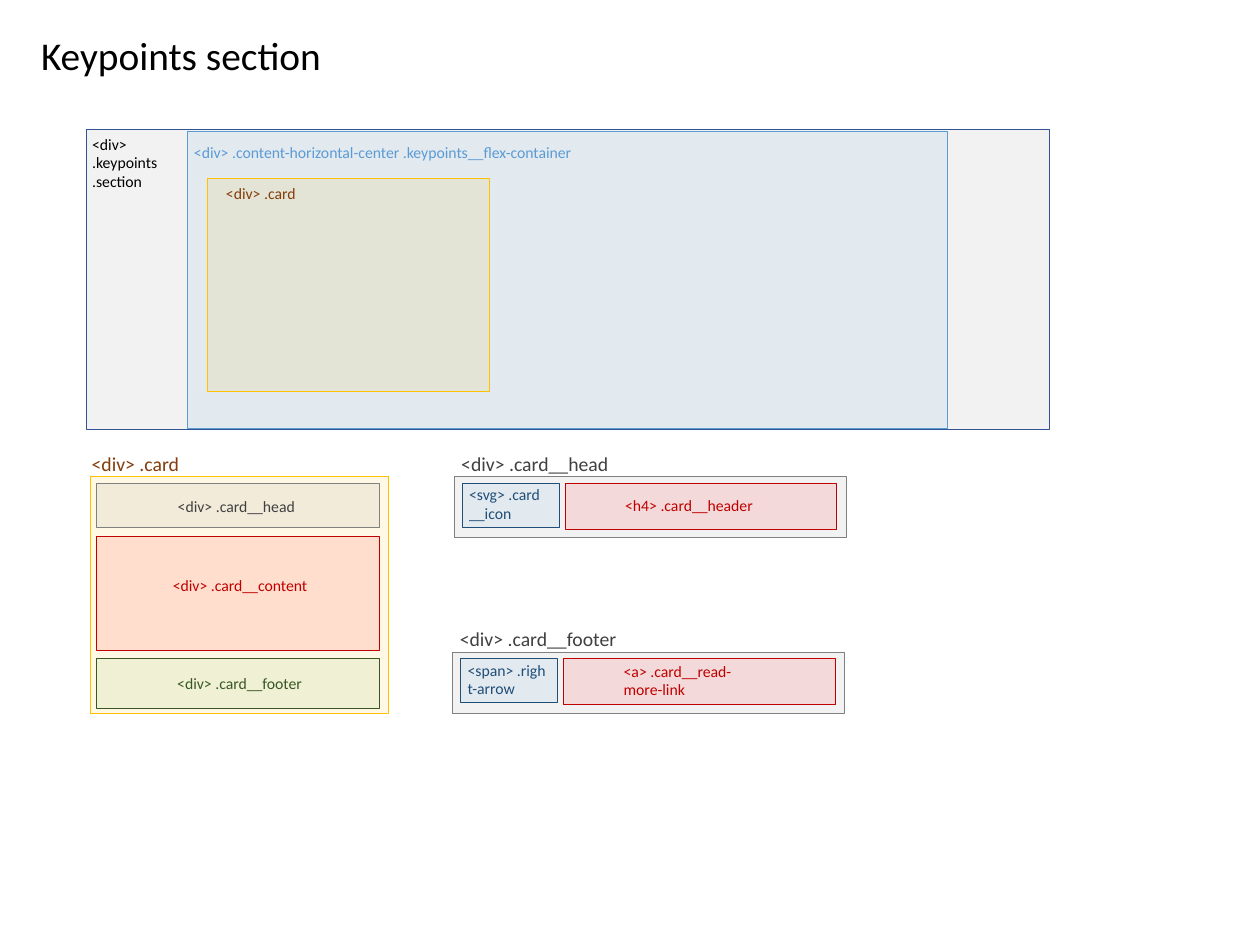
import lxml.etree
import pptx
import pptx.util
import pptx.dml.color
import pptx.enum.shapes
import pptx.enum.text
import pptx.oxml.ns

Pt = pptx.util.Pt
COLORS = {
    "black": "000000", "light gray": "F2F2F2", "gray": "808080", "dark gray": "404040",
    "navy": "325491", "blue": "5B9BD5", "dark blue": "1F4E79", "gold": "FFC000",
    "brown": "843C0B", "red": "FF0000", "dark red": "C00000", "green": "70AD47",
    "dark green": "385723",
}
FONT = "Calibri"
LABEL_WIDTH, LABEL_HEIGHT = 191, 17


def rgb(name):
    return pptx.dml.color.RGBColor.from_string(COLORS[name])


def add_box(slide, left, top, width, height, fill, line, opacity=10):
    shape = slide.shapes.add_shape(pptx.enum.shapes.MSO_SHAPE.RECTANGLE,
                                   Pt(left), Pt(top), Pt(width), Pt(height))
    shape.shadow.inherit = False
    shape.fill.solid()
    shape.fill.fore_color.rgb = rgb(fill)
    shape.line.color.rgb = rgb(line)
    shape.line.width = Pt(1)
    if opacity < 100:
        qn = pptx.oxml.ns.qn
        color = shape.element.spPr.find(f"{qn('a:solidFill')}/{qn('a:srgbClr')}")
        lxml.etree.SubElement(color, qn("a:alpha")).set("val", str(opacity * 1000))


def format_text(frame, text, size, color):
    frame.text = text
    for paragraph in frame.paragraphs:
        paragraph.alignment = pptx.enum.text.PP_ALIGN.LEFT
        paragraph.font.name = FONT
        paragraph.font.size = Pt(size)
        paragraph.font.color.rgb = rgb(color)


def add_label(slide, text, left, top, color, width=LABEL_WIDTH, height=LABEL_HEIGHT, size=16):
    frame = slide.shapes.add_textbox(Pt(left), Pt(top), Pt(width), Pt(height)).text_frame
    frame.word_wrap = True
    frame.vertical_anchor = pptx.enum.text.MSO_ANCHOR.MIDDLE
    format_text(frame, text, size, color)


def set_title(slide, text, left, top, width, height):
    title = slide.shapes.title
    title.left, title.top, title.width, title.height = Pt(left), Pt(top), Pt(width), Pt(height)
    title.text_frame.word_wrap = False
    title.text_frame.vertical_anchor = pptx.enum.text.MSO_ANCHOR.TOP
    format_text(title.text_frame, text, 40, "black")


def add_keypoints_section(slide, left, top, width, height):
    add_box(slide, left, top, width, height, "light gray", "navy", opacity=100)
    # Centred flex container
    flex_left = left + 102
    add_box(slide, flex_left, top + 2, 772.5, height - 3, "blue", "blue")
    add_label(slide, "<div> .content-horizontal-center .keypoints__flex-container",
              flex_left, top + 8.5, "blue", 420.5, 27.5)
    add_label(slide, "<div> \v.keypoints\n.section", left - 1.5, top + 2, "black", 142.5, 62.5)
    # Card inside the container
    add_box(slide, left + 122.5, top + 49.5, 287, 216, "gold", "gold")
    add_label(slide, "<div> .card", left + 134.5, top + 56, "brown")


def add_card(slide, left, top, width, height):
    add_box(slide, left, top, width, height, "gold", "gold")
    add_label(slide, "<div> .card", left - 6, top - 22.5, "brown", size=20)
    # Name, top offset, height, fill, line, text colour, text indent, text shift, text width
    parts = [
        ("head", 6.5, 44.5, "gray", "gray", "dark gray", 75, 1, 191),
        ("content", 60.5, 116, "red", "dark red", "dark red", 70, -8, 158),
        ("footer", 184.5, 50.5, "green", "dark green", "dark green", 74.5, 0, 158),
    ]
    for name, offset, part_height, fill, line, color, indent, shift, text_width in parts:
        part_left, part_top = left + 6.5, top + offset
        add_box(slide, part_left, part_top, 287, part_height, fill, line)
        add_label(slide, f"<div> .card__{name}", part_left + indent, part_top + shift,
                  color, text_width, part_height)


def add_card_part(slide, left, top, width, height, name, icon, content):
    add_box(slide, left, top, width, height, "gray", "gray")
    add_label(slide, name, left, top - 22.5, "dark gray", size=20)
    # Icon on the left
    add_box(slide, left + 8, top + 6.5, 98.5, 44.5, "blue", "dark blue")
    add_label(slide, icon, left + 8, top + 17, "dark blue", 93.6, 21)
    # Text content on the right
    add_box(slide, left + 112.5, top + 6.5, 276, 47, "red", "dark red")
    add_label(slide, content, left + 166.5, top + 9.5, "dark red", 157.7, 38)


presentation = pptx.Presentation()
presentation.slide_width, presentation.slide_height = Pt(1280), Pt(960)
slide = presentation.slides.add_slide(presentation.slide_layouts[5])

set_title(slide, "Keypoints section", 34.5, 28, 302, 55.5)
add_keypoints_section(slide, 88, 132, 978, 304)
add_card(slide, 92, 484.5, 302.5, 240)
add_card_part(slide, 461.5, 484.5, 398, 62, "<div> .card__head",
              "<svg> .card__icon", "<h4> .card__header")
add_card_part(slide, 460, 662.5, 398, 62, "<div> .card__footer",
              "<span> .right-arrow", "<a> .card__read-more-link")

presentation.save("out.pptx")
